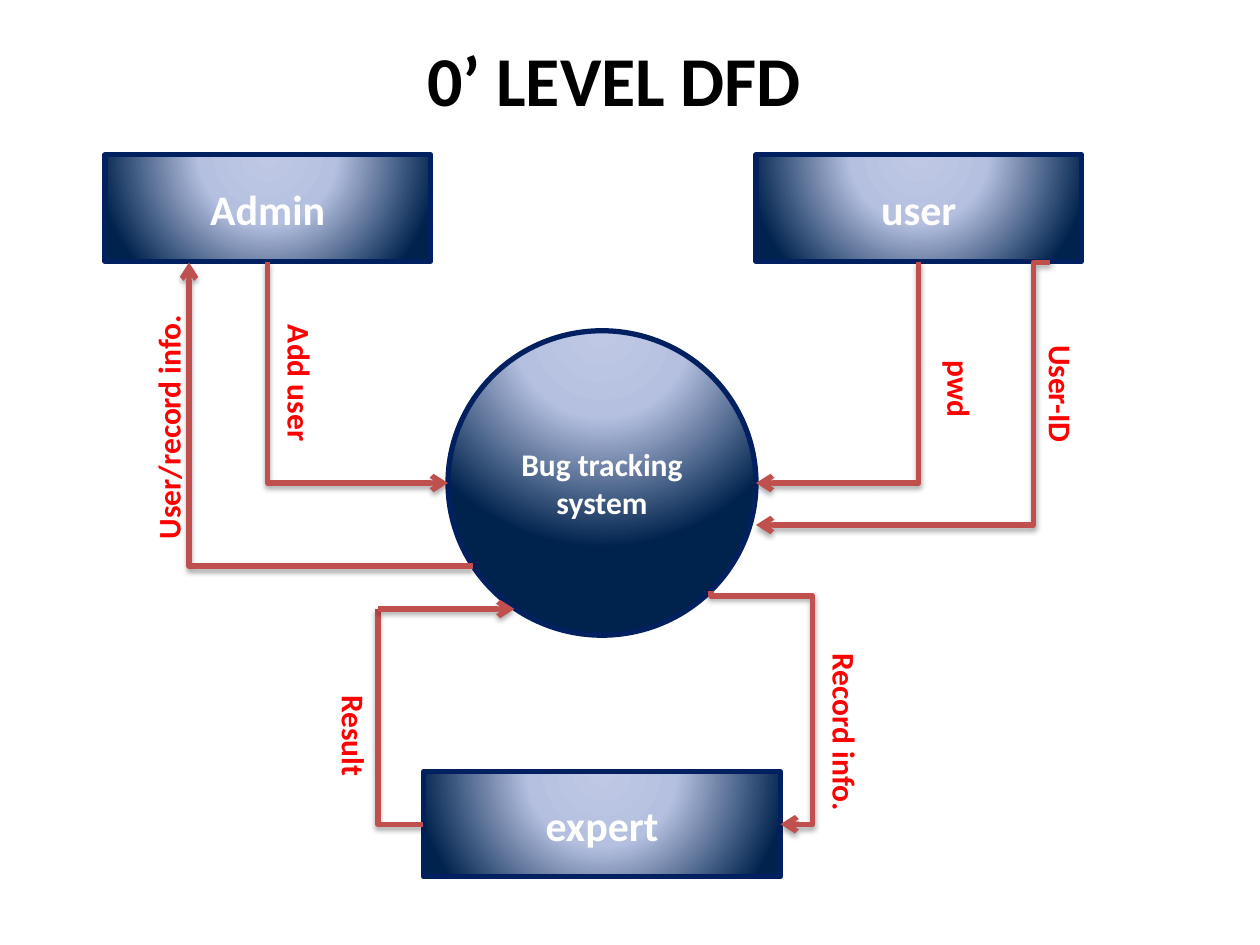
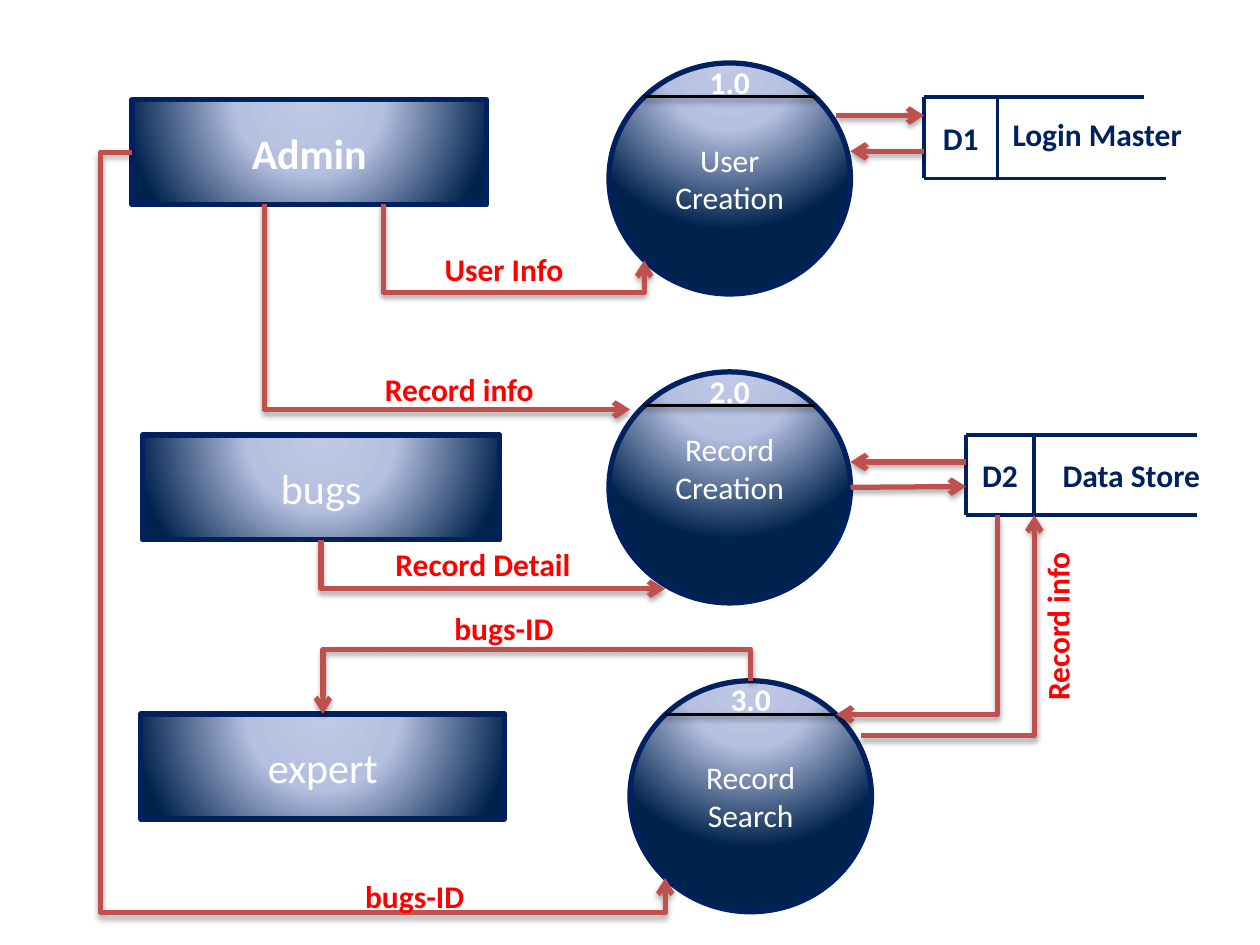
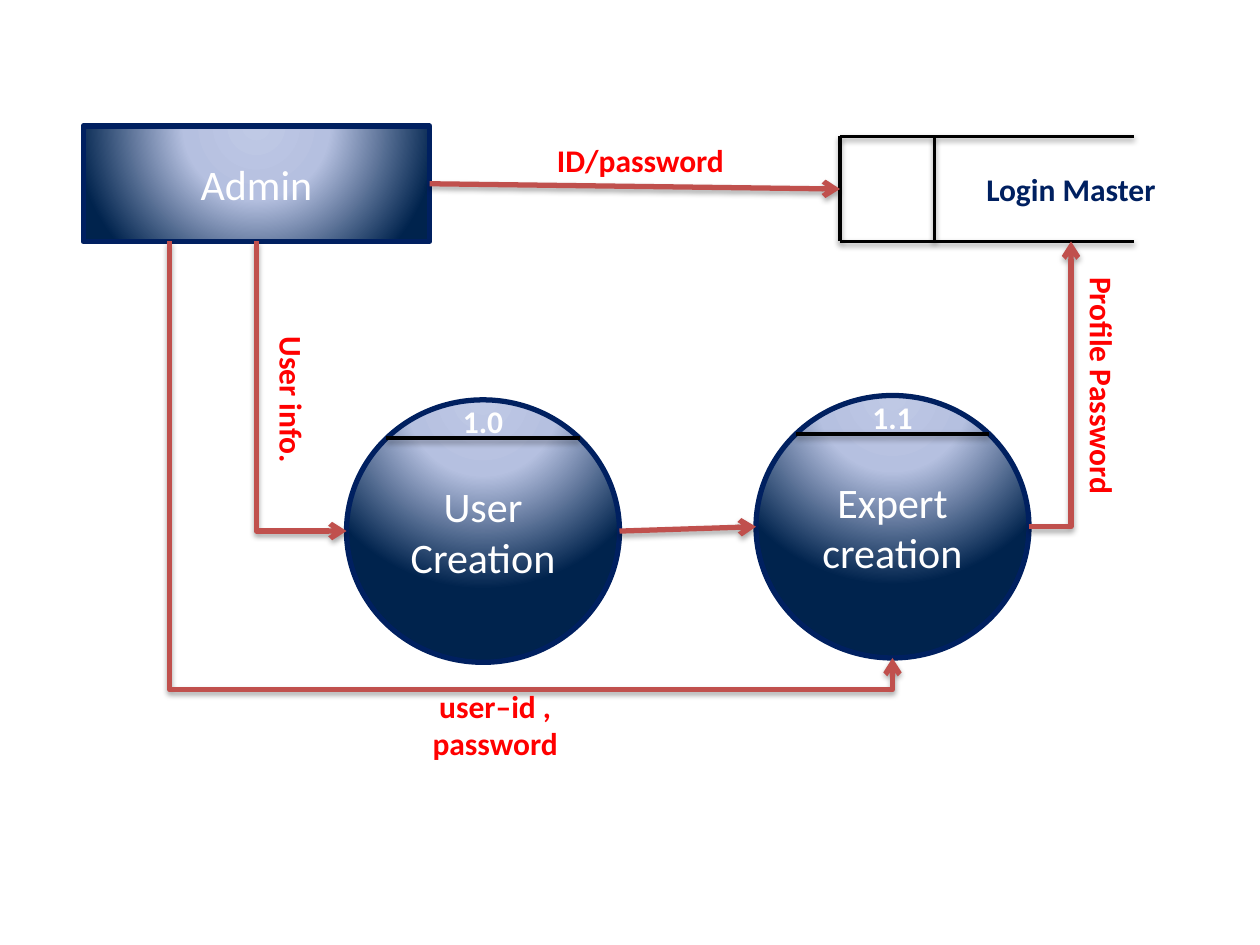
"""Builds three data flow diagram slides of a bug tracking system."""
from copy import deepcopy
from lxml.etree import SubElement
from pptx import Presentation
from pptx.dml.color import RGBColor
from pptx.enum.shapes import MSO_CONNECTOR, MSO_SHAPE
from pptx.enum.text import MSO_ANCHOR, MSO_AUTO_SIZE, PP_ALIGN
from pptx.oxml import parse_xml
from pptx.oxml.ns import nsdecls, qn
from pptx.util import Pt

NAVY, RED, BRICK, BLACK, WHITE = "002060", "FF0000", "C0504D", "000000", "FFFFFF"
FONT = "Calibri"
CHORD = 0.146
LABEL_W, LABEL_H = 150, 30
STOPS = "".join(f'<a:gs pos="{pos}"><a:srgbClr val="{color}"/></a:gs>'
                for pos, color in ((0, "BFC9E5"), (40000, "B5C0E0"), (100000, "00234D")))
GLOW = parse_xml(f'<a:gradFill {nsdecls("a")} rotWithShape="1"><a:gsLst>{STOPS}</a:gsLst>'
                 '<a:path path="circle"><a:fillToRect l="50000" t="-80000" r="50000" b="180000"/>'
                 '</a:path></a:gradFill>')


def write(tf, text, size=18, color=RED, bold=True):
    tf.word_wrap = True
    tf.auto_size = MSO_AUTO_SIZE.NONE
    tf.vertical_anchor = MSO_ANCHOR.MIDDLE
    for i, line in enumerate(text.split("\n")):
        p = tf.add_paragraph() if i else tf.paragraphs[0]
        p.alignment = PP_ALIGN.CENTER
        r = p.add_run()
        r.text = line
        r.font.name, r.font.size, r.font.bold = FONT, Pt(size), bold
        r.font.color.rgb = RGBColor.from_string(color)


def link(s, pts, color=BRICK, width=3, arrow=True, shadow=True):
    (x1, y1), (x2, y2) = pts[0], pts[-1]
    if len(pts) == 2:
        c = s.shapes.add_connector(MSO_CONNECTOR.STRAIGHT, Pt(x1), Pt(y1), Pt(x2), Pt(y2))
    else:
        upright = pts[1][0] == x1
        dx, dy = (y2 - y1, x1 - x2) if upright else (x2 - x1, y2 - y1)
        w, h = abs(dx), abs(dy)
        flip_h, flip_v = dx < 0, dy < 0
        turned = flip_h != flip_v if upright else flip_h
        c = s.shapes.add_connector(MSO_CONNECTOR.ELBOW, 0, 0, Pt(w), Pt(h))
        c.left, c.top = Pt((x1 + x2 - w) / 2), Pt((y1 + y2 - h) / 2)
        xfrm = c._element.spPr.find(qn("a:xfrm"))
        xfrm.set("rot", str((90 * upright + 180 * turned) * 60000))
        xfrm.set("flipH", str(int(flip_h != turned)))
        xfrm.set("flipV", str(int(flip_v != turned)))
        geom = c._element.spPr.find(qn("a:prstGeom"))
        geom.set("prst", f"bentConnector{len(pts) - 1}")
        for i in range(1, len(pts) - 2):
            axis = (i + upright + 1) % 2
            ratio = (pts[i][axis] - pts[0][axis]) / (pts[-1][axis] - pts[0][axis])
            SubElement(geom.find(qn("a:avLst")), qn("a:gd"), name=f"adj{i}",
                       fmla=f"val {round(ratio * 100000)}")
    c.line.color.rgb = RGBColor.from_string(color)
    c.line.width = Pt(width)
    if arrow:
        SubElement(c.line._get_or_add_ln(), qn("a:tailEnd"), type="arrow")
    effects = SubElement(c._element.spPr, qn("a:effectLst"))
    if shadow:
        shade = SubElement(effects, qn("a:outerShdw"), blurRad="40000", dist="23000",
                           dir="5400000", rotWithShape="0")
        rgb = SubElement(shade, qn("a:srgbClr"), val=BLACK)
        SubElement(rgb, qn("a:alpha"), val="35000")


SLIDES = [
    dict(
        title="0’ LEVEL DFD",
        oval=(176, 174), oval_size=18, oval_bold=True, bold=("Admin", "expert", "user"),
        ovals=[("", 256, 189, "Bug tracking system")],
        rects=[("Admin", 60, 88.5, 186, 61), ("expert", 242, 441, 204, 60),
               ("user", 432, 88.5, 186, 61)],
        flows=[("v", "Admin b", " l"), ("v", "user b", " r"),
               ("h", (270, 323.5), (108, 150)),
               ("h", (600, 150), (432, 300), 590.5),
               ("v", " br", "expert r", 340.5, 464.5),
               ("h plain", "expert l", (216, 348)),
               ("straight", (216, 348), (294, 348))],
        labels=[("Add user", 171.5, 219, 90), ("User/record info.", 96, 244, 270),
                ("pwd", 548.5, 222.5, 90), ("User-ID", 606.5, 225, 90),
                ("Record info.", 483, 418.5, 90), ("Result", 202.5, 420.5, 90)]),
    dict(
        oval=(138, 132), oval_size=18, bold=("Admin",), raised="2.0",
        ovals=[("1.0", 348, 36, "User\nCreation"), ("2.0", 348, 212.5, "Record\nCreation"),
               ("3.0", 360, 389, "Record\nSearch")],
        rects=[("Admin", 75.5, 57, 202.5, 60), ("expert", 80.5, 408, 208, 60),
               ("bugs", 81.5, 248.5, 204, 60)],
        stores=[("D1", 528, 55.5, 138, 46.5, 42, 126), ("D2", 552, 248.5, 132, 46, 39, 132)],
        store_line=dict(color=NAVY, width=2.25, shadow=False),
        flows=[("h", "Admin l", "3.0 bl", 57.5, 521.5),
               ("v", (219, 116.5), "1.0 bl", 167),
               ("v", (151, 116.5), (360, 234)),
               ("v", "bugs b", (380, 336.5)),
               ("straight", "2.0 r", (552, 278)),
               ("straight", (552, 264), (486, 264)),
               ("h", (492, 420.5), "D2 d"),
               ("v", (570, 294.5), "3.0 tr"),
               ("straight", (478, 66), (528, 66)),
               ("straight", (528, 86.5), (486, 86.5)),
               ("v", "3.0 t", "expert t", 371)],
        captions=[("Login Master", 627, 76.5), ("Data Store", 646.5, 271.5)],
        labels=[("User Info", 288, 153.5, 0), ("Record info", 262.5, 222, 0),
                ("bugs-ID", 237, 512, 0), ("Record Detail", 276, 322.5, 0),
                ("bugs-ID", 288, 359, 0), ("Record info", 604, 358, 270)]),
    dict(
        oval=(156, 150), oval_size=24,
        ovals=[("1.0", 198, 228.5, "User Creation"), ("1.1", 432, 226, "Expert creation")],
        rects=[("Admin", 47.5, 72, 198, 66)],
        stores=[("", 480, 78, 168, 60, 54, 168)],
        store_line=dict(color=BLACK, width=2),
        flows=[("straight", "1.0 r", "1.1 l"), ("v", "Admin b", "1.0 l"),
               ("straight", "Admin r", " l"), ("v", (97, 138), "1.1 b", 394),
               ("h", "1.1 r", (612, 138))],
        captions=[("Login Master", 612, 108)],
        labels=[("user–id ,\npassword", 283, 414, 0), ("Profile Password", 630, 220.5, 90),
                ("ID/password", 366, 91.5, 0), ("User info.", 167, 228.5, 90)]),
]

prs = Presentation()
prs.slide_width, prs.slide_height = Pt(720), Pt(540)

for page in SLIDES:
    s = prs.slides.add_slide(prs.slide_layouts[5 if "title" in page else 6])
    if "title" in page:
        sp = s.shapes.title
        sp.left, sp.top, sp.width, sp.height = Pt(84), Pt(30), Pt(534), Pt(30)
        write(sp.text_frame, page["title"], size=40, color=BLACK)

    at, rules = {}, []
    texts = [(text, x, y, LABEL_W, LABEL_H, angle, RED) for text, x, y, angle in page["labels"]]
    texts += [(text, x, y, LABEL_W, LABEL_H, 0, NAVY) for text, x, y in page.get("captions", [])]
    nodes = [(MSO_SHAPE.OVAL, name, x, y, *page["oval"], text, page["oval_size"],
              page.get("oval_bold", False)) for name, x, y, text in page["ovals"]]
    nodes += [(MSO_SHAPE.RECTANGLE, name, x, y, w, h, name, 24, name in page.get("bold", ()))
              for name, x, y, w, h in page["rects"]]

    for kind, name, x, y, w, h, text, size, bold in nodes:
        sp = s.shapes.add_shape(kind, Pt(x), Pt(y), Pt(w), Pt(h))
        sp._element.spPr.insert(2, deepcopy(GLOW))
        sp.line.color.rgb = RGBColor.from_string(NAVY)
        sp.line.width = Pt(3)
        sp.shadow.inherit = False
        write(sp.text_frame, text, size=size, color=WHITE, bold=bold)
        if name == page.get("raised"):
            sp.text_frame.margin_bottom = Pt(25.5)
        mid_x, mid_y, inset_x, inset_y = x + w / 2, y + h / 2, CHORD * w, CHORD * h
        sides = dict(t=(mid_x, y), b=(mid_x, y + h), l=(x, mid_y), r=(x + w, mid_y),
                     tl=(x + inset_x, y + inset_y), tr=(x + w - inset_x, y + inset_y),
                     bl=(x + inset_x, y + h - inset_y), br=(x + w - inset_x, y + h - inset_y))
        at.update({f"{name} {side}": pt for side, pt in sides.items()})
        if kind == MSO_SHAPE.OVAL and name:
            rules.append(([sides["tl"], sides["tr"]], dict(color=BLACK, width=2)))
            texts.append((name, mid_x, y + inset_y / 2 + 1, LABEL_W / 2, inset_y, 0, WHITE))

    for name, x, y, w, h, cell, top_w in page.get("stores", []):
        at[f"{name} l"], at[f"{name} d"] = (x, y + h / 2), (x + cell, y + h)
        rules += [(pts, page["store_line"]) for pts in (
            [(x, y), (x + top_w, y)], [(x, y), (x, y + h)],
            [(x, y + h), (x + w, y + h)], [(x + cell, y), (x + cell, y + h)])]
        if name:
            texts.append((name, x + cell / 2, y + h / 2, cell, h, 0, NAVY))

    for pts, style in rules:
        link(s, pts, arrow=False, **style)

    for route, start, end, *bends in page["flows"]:
        start, end = at.get(start, start), at.get(end, end)
        pts = [start]
        if route != "straight":
            axis = int(route[0] == "v")
            for value in [*bends, None]:
                corner = list(pts[-1])
                corner[axis] = end[axis] if value is None else value
                pts.append(tuple(corner))
                axis = 1 - axis
        link(s, [*pts, end], arrow="plain" not in route)

    for text, x, y, w, h, angle, color in texts:
        sp = s.shapes.add_textbox(Pt(x - w / 2), Pt(y - h / 2), Pt(w), Pt(h))
        sp.rotation = angle
        write(sp.text_frame, text, color=color)

prs.save("out.pptx")
